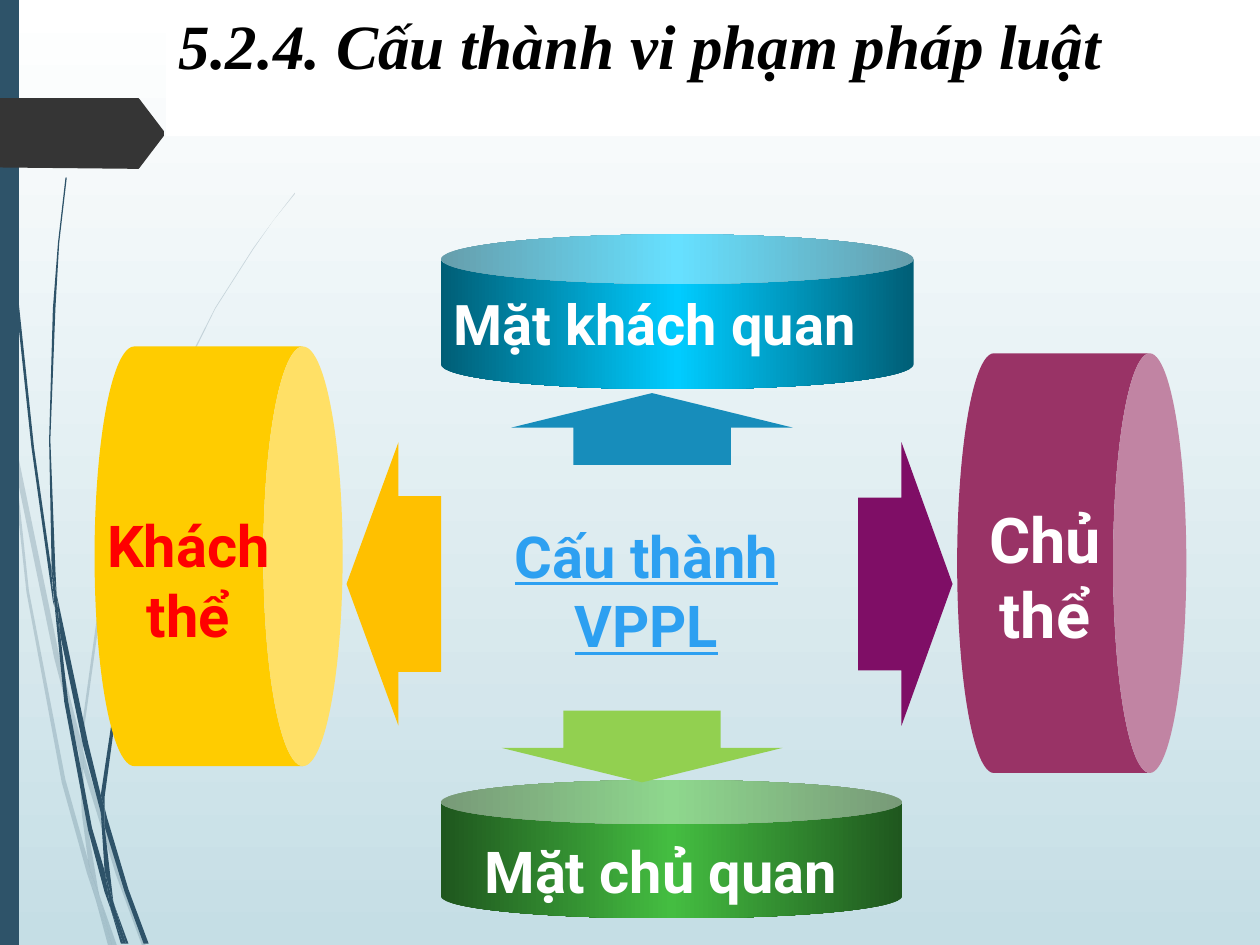
from copy import deepcopy

from lxml import etree
from pptx import Presentation
from pptx.dml.color import RGBColor
from pptx.enum.shapes import MSO_SHAPE
from pptx.enum.text import MSO_ANCHOR, MSO_AUTO_SIZE, PP_ALIGN
from pptx.oxml.ns import qn
from pptx.util import Pt

RECT, CAN = MSO_SHAPE.RECTANGLE, MSO_SHAPE.CAN
DOWN, LEFT, RIGHT = MSO_SHAPE.DOWN_ARROW, MSO_SHAPE.LEFT_ARROW, MSO_SHAPE.RIGHT_ARROW
TOP, GROW = MSO_ANCHOR.TOP, MSO_AUTO_SIZE.SHAPE_TO_FIT_TEXT
START, MID = PP_ALIGN.LEFT, PP_ALIGN.CENTER


class Theme:
    sky = ("FFFFFF", "C5DEE5")
    navy, dark = "2E5369", "353535"
    white, black, red, link = "FFFFFF", "000000", "FF0000", "2DA0F1"
    cyan = ("005E76", "00CCFF", "005E76")
    green = ("1F571E", "44BD41", "1F571E")
    gold, plum = "FFCC00", "993366"
    lime, amber, blue, grape = "92D050", "FFC000", "178DBB", "7F0E66"
    head = {"name": "Times New Roman", "size": Pt(36), "bold": True, "italic": True}
    body = {"name": "Roboto", "size": Pt(33), "bold": True}
    small = {**body, "size": Pt(32)}
    large = {**body, "size": Pt(36)}
    under = {**body, "underline": True}


# Outlines of the grass blades, in hundredths of an inch
UNIT = Pt(0.72)
PALE = [
    [(8, 350), (6, 322), (0, 282), (0, 299), (8, 344)],
    [(43, 522), (63, 599), (64, 586), (47, 520), (11, 345), (13, 376)],
    [(69, 607), (66, 596), (66, 610), (92, 694), (113, 751), (116, 751), (95, 692)],
    [(89, 751), (93, 751), (79, 711)],
    [(70, 683), (52, 619), (23, 469), (13, 376), (8, 350), (21, 470), (49, 621),
     (69, 693), (76, 714), (74, 707)],
    [(63, 599), (65, 646), (70, 683), (72, 692), (79, 711), (78, 706), (68, 646),
     (66, 610), (66, 608)],
    [(66, 584), (83, 462), (120, 349), (171, 245), (201, 198), (217, 175), (234, 154),
     (234, 153), (217, 175), (201, 197), (171, 244), (118, 348), (81, 461), (64, 584),
     (64, 586), (66, 596)],
    [(76, 714), (86, 751), (89, 751)],
    [(66, 608), (66, 610), (66, 596), (64, 586), (63, 599)],
    [(72, 692), (70, 683), (74, 707), (76, 714), (89, 751), (79, 711)],
]
DEEP = [
    [(5, 110), (12, 233), (25, 355), (42, 477), (43, 481), (41, 457), (41, 453),
     (27, 355), (14, 232), (6, 109), (3, 48), (3, 0), (2, 0), (3, 48)],
    [(66, 592), (80, 645), (80, 633), (80, 631), (70, 590), (45, 472), (48, 505)],
    [(85, 649), (83, 641), (83, 656), (99, 708), (114, 749), (118, 749), (102, 706)],
    [(83, 691), (73, 657), (54, 556), (48, 505), (43, 477), (51, 557), (70, 659),
     (83, 708), (88, 722), (87, 717)],
    [(45, 472), (44, 453), (40, 349), (44, 245), (47, 193), (53, 141), (52, 141),
     (46, 193), (42, 245), (39, 349), (41, 449)],
    [(100, 749), (102, 749), (91, 719)],
    [(43, 477), (48, 505), (45, 472), (41, 449), (41, 453)],
    [(83, 633), (94, 552), (119, 476), (153, 406), (173, 374), (184, 359), (196, 344),
     (195, 344), (184, 358), (173, 373), (153, 405), (117, 474), (92, 551), (80, 631),
     (83, 641)],
    [(88, 722), (96, 749), (98, 749)],
    [(80, 645), (83, 691), (87, 706), (91, 719), (90, 716), (83, 656), (81, 651)],
    [(80, 645), (81, 651), (83, 656), (83, 641), (80, 631), (80, 633)],
    [(87, 706), (83, 691), (87, 717), (88, 722), (98, 749), (100, 749), (91, 719)],
]
TAG = [(0, 78), (110, 78), (111, 79), (130, 104), (130, 108), (111, 133), (110, 134),
       (102, 134), (0, 133)]


class Deck:
    def __init__(self):
        self.file = Presentation()
        self.file.slide_width, self.file.slide_height = Pt(720), Pt(540)
        self.slide = self.file.slides.add_slide(self.file.slide_layouts[6])
        self.items = self.slide.shapes

    def blend(self, fill, tones, angle, tree):
        """Fill with evenly spaced gradient stops."""
        fill.gradient()
        fill.gradient_angle = angle
        stops = next(tree.iter(qn("a:gsLst")))
        for _ in tones[2:]:
            stops.append(deepcopy(stops[0]))
        for i, (stop, tone) in enumerate(zip(fill.gradient_stops, tones)):
            stop.position = i / (len(tones) - 1)
            stop.color.rgb = RGBColor.from_string(tone)

    def back(self, tones):
        page = self.slide.background
        self.blend(page.fill, tones, 270, self.slide.element)

    def paint(self, shape, tone):
        shape.shadow.inherit = False
        shape.line.fill.background()
        if isinstance(tone, tuple):
            self.blend(shape.fill, tone, 0, shape.element)
        else:
            shape.fill.solid()
            shape.fill.fore_color.rgb = RGBColor.from_string(tone)

    def shape(self, kind, box, tone, adj=(), turn=0):
        item = self.items.add_shape(kind, *map(Pt, box))
        for i, part in enumerate(adj):
            item.adjustments[i] = part
        item.rotation = turn
        self.paint(item, tone)

    def blade(self, dots, tone, alpha=None):
        pen = self.items.build_freeform(*dots[0], scale=UNIT)
        pen.add_line_segments(dots[1:], close=True)
        item = pen.convert_to_shape()
        self.paint(item, tone)
        if alpha:
            color = next(item.element.spPr.iter(qn("a:srgbClr")))
            etree.SubElement(color, qn("a:alpha")).set("val", str(alpha * 1000))

    def text(self, words, box, form, tone, align=MID, fill=None):
        item = self.items.add_textbox(*map(Pt, box))
        frame = item.text_frame
        frame.word_wrap, frame.vertical_anchor = True, TOP
        if fill:
            self.paint(item, fill)
        else:
            frame.auto_size = GROW
        para = frame.paragraphs[0]
        para.alignment = align
        run = para.add_run()
        run.text = words
        for key, value in form.items():
            setattr(run.font, key, value)
        run.font.color.rgb = RGBColor.from_string(tone)


def main():
    deck, t = Deck(), Theme

    # Backdrop: sky, grass, side bar and tag
    deck.back(t.sky)
    for dots in PALE:
        deck.blade(dots, t.navy, 20)
    for dots in DEEP:
        deck.blade(dots, t.navy)
    deck.shape(RECT, (0, 0, 10.8, 540), t.navy)
    deck.blade(TAG, t.dark)

    # Title
    deck.text("5.2.4. Cấu thành vi phạm pháp luật", (95, 0, 625, 77.8),
              t.head, t.black, START, t.white)

    # Upper and lower drums
    deck.shape(CAN, (252, 133.9, 270, 88.6), t.cyan, [0.32])
    deck.shape(CAN, (252, 445.7, 263.5, 79.2), t.green, [0.32])

    # Arrows out from the centre
    for kind, box, tone, adj, turn in (
        (DOWN, (286.6, 406.1, 160.6, 41), t.lime, (0.56, 0.48), 0),
        (LEFT, (198, 252.7, 54, 162), t.amber, (0.62, 0.55), 0),
        (DOWN, (292.3, 224.6, 160.6, 41), t.blue, (0.56, 0.48), 180),
        (RIGHT, (490.3, 252.7, 54, 162), t.grape, (0.61, 0.54), 0),
    ):
        deck.shape(kind, box, tone, adj, turn)

    # Side drums, lying down
    deck.shape(CAN, (5, 247, 239.8, 141.8), t.gold, [0.32], 90)
    deck.shape(CAN, (492.5, 256.3, 239.8, 131), t.plum, [0.32], 90)

    # Labels
    for words, box, form, tone, align in (
        ("Cấu thành VPPL", (257.8, 293.8, 223.2, 87.1), t.under, t.link, MID),
        ("Mặt khách quan", (252, 162, 318.2, 46.1), t.small, t.white, START),
        ("Mặt chủ quan", (239.8, 473.8, 275.8, 47.5), t.body, t.white, MID),
        ("Khách thể", (41.8, 288, 131.8, 87.1), t.body, t.red, MID),
        ("Chủ thể", (552.2, 282.2, 90, 94.3), t.large, t.white, MID),
    ):
        deck.text(words, box, form, tone, align)

    deck.file.save("out.pptx")


if __name__ == "__main__":
    main()
